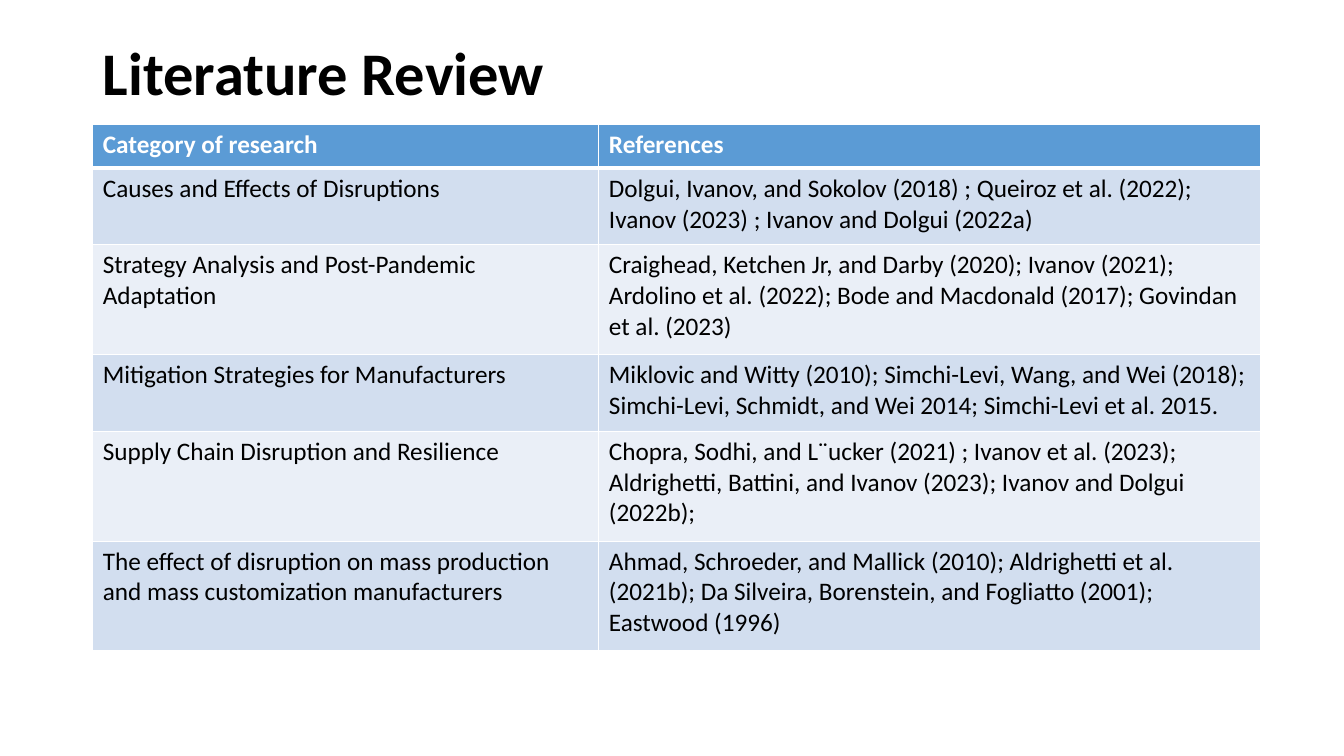
import pptx
import pptx.dml.color
import pptx.enum.text
import pptx.oxml
import pptx.oxml.ns
import pptx.util
from pptx.util import Inches

COLORS = {"text": "000000", "white": "FFFFFF", "header": "5B9BD5",
          "odd": "D2DEEF", "even": "EAEFF7"}
TITLE = {"name": "Calibri", "size": pptx.util.Pt(43.2), "bold": True}
HEADER = {"name": "Calibri", "size": pptx.util.Pt(18), "bold": True}
BODY = {**HEADER, "bold": False}

ROWS = [
    ("Category of research", "References"),
    ("Causes and Effects of Disruptions",
     "Dolgui, Ivanov, and Sokolov (2018) ; Queiroz et al. (2022);\n"
     "Ivanov (2023) ; Ivanov and Dolgui (2022a)"),
    ("Strategy Analysis and Post-Pandemic Adaptation",
     "Craighead, Ketchen Jr, and Darby (2020); Ivanov (2021); "
     "Ardolino et al. (2022); Bode and Macdonald (2017); Govindan et al. (2023)"),
    ("Mitigation Strategies for Manufacturers",
     "Miklovic and Witty (2010); Simchi-Levi, Wang, and Wei (2018); "
     "Simchi-Levi, Schmidt, and Wei 2014; Simchi-Levi et al. 2015."),
    ("Supply Chain Disruption and Resilience",
     "Chopra, Sodhi, and L¨ucker (2021) ; Ivanov et al. (2023); "
     "Aldrighetti, Battini, and Ivanov (2023); Ivanov and Dolgui (2022b);"),
    ("The effect of disruption on mass production and mass customization manufacturers",
     "Ahmad, Schroeder, and Mallick (2010); Aldrighetti et al. (2021b); "
     "Da Silveira, Borenstein, and Fogliatto (2001); Eastwood (1996)"),
]
COL_WIDTHS = [5.02, 6.56]
ROW_HEIGHTS = [0.44, 0.76, 1.09, 0.76, 1.09, 1.09]


class Deck:
    """Holds the presentation, its current slide and the shared styling."""

    def __init__(self, width, height):
        self.prs = pptx.Presentation()
        self.prs.slide_width, self.prs.slide_height = Inches(width), Inches(height)
        self.s = self.prs.slides.add_slide(self.prs.slide_layouts[5])

    def rgb(self, color):
        return pptx.dml.color.RGBColor.from_string(COLORS[color])

    def set_text(self, tf, text, fmt, color):
        tf.text = text
        for p in tf.paragraphs:
            p.alignment = pptx.enum.text.PP_ALIGN.LEFT
            for r in p.runs:
                for key, value in fmt.items():
                    setattr(r.font, key, value)
                r.font.color.rgb = self.rgb(color)

    def title(self, text, left, top, width, height):
        sp = self.s.shapes.title
        box = {"left": left, "top": top, "width": width, "height": height}
        for key, value in box.items():
            setattr(sp, key, Inches(value))
        tf = sp.text_frame
        self.set_text(tf, text, TITLE, "text")
        tf.auto_size = pptx.enum.text.MSO_AUTO_SIZE.NONE
        tf.vertical_anchor = pptx.enum.text.MSO_ANCHOR.MIDDLE
        tf.paragraphs[0].line_spacing = 0.9

    def borders(self, cell, widths):
        tc_pr = cell._tc.get_or_add_tcPr()
        for side, width in widths.items():
            tc_pr.append(pptx.oxml.parse_xml(
                f'<a:ln{side} {pptx.oxml.ns.nsdecls("a")} w="{pptx.util.Pt(width)}">'
                f'<a:solidFill><a:srgbClr val="{COLORS["white"]}"/></a:solidFill>'
                f'</a:ln{side}>'))

    def table(self, rows, left, top, col_widths, row_heights):
        table = self.s.shapes.add_table(
            len(rows), len(col_widths), Inches(left), Inches(top),
            Inches(sum(col_widths)), Inches(sum(row_heights))).table
        for column, width in zip(table.columns, col_widths):
            column.width = Inches(width)
        for i, (texts, height) in enumerate(zip(rows, row_heights)):
            table.rows[i].height = Inches(height)
            fill = "header" if i == 0 else "odd" if i % 2 else "even"
            fmt, color = (BODY, "text") if i else (HEADER, "white")
            widths = {"L": 1, "R": 1, "T": 3 if i == 1 else 1, "B": 1 if i else 3}
            for j, text in enumerate(texts):
                cell = table.cell(i, j)
                self.set_text(cell.text_frame, text, fmt, color)
                self.borders(cell, widths)
                cell.fill.solid()
                cell.fill.fore_color.rgb = self.rgb(fill)


def main():
    deck = Deck(13.33, 7.5)
    deck.title("Literature Review", 0.92, 0.4, 11.5, 0.71)
    deck.table(ROWS, 0.92, 1.23, COL_WIDTHS, ROW_HEIGHTS)
    deck.prs.save("out.pptx")


if __name__ == "__main__":
    main()
